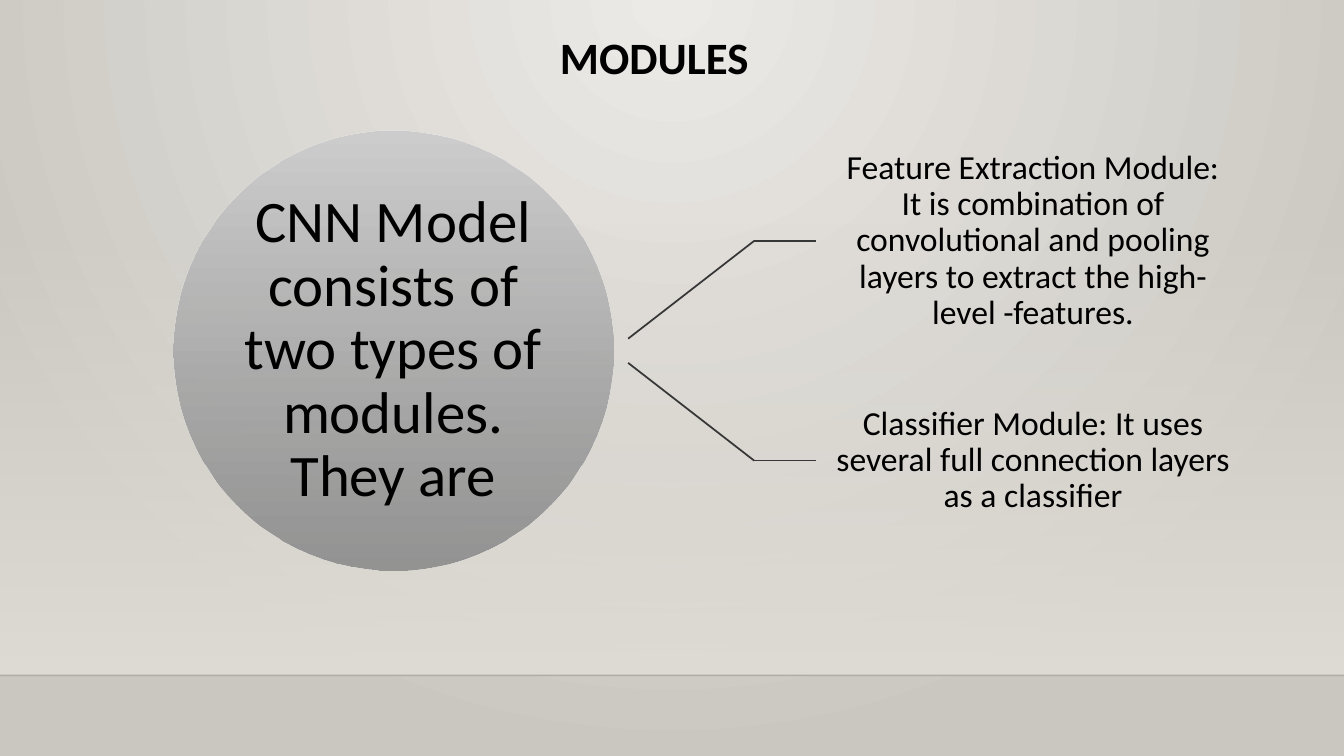
from lxml.etree import SubElement
from pptx import Presentation
from pptx.dml.color import RGBColor
from pptx.enum.shapes import MSO_CONNECTOR as CONNECTOR, MSO_SHAPE as SHAPE
from pptx.enum.text import MSO_ANCHOR as ANCHOR, PP_ALIGN as ALIGN
from pptx.oxml.ns import qn
from pptx.util import Inches, Pt

WIDTH, HEIGHT = 13.33, 7.5
INTRO = "CNN Model consists of two types of modules. They are"
MODULES = [
    "Feature Extraction Module: It is combination of convolutional and pooling "
    "layers to extract the high-level -features.",
    "Classifier Module: It uses several full connection layers as a classifier",
]


def color(value):
    """Turn a hex string into a colour."""
    return RGBColor.from_string(value)


def set_opacity(parent, percent):
    """Set the opacity of the first RGB colour under an element."""
    rgb = next(parent.iter(qn("a:srgbClr")))
    SubElement(rgb, qn("a:alpha"), val=str(percent * 1000))


def fill_gradient(fill, start, end):
    """Fill with a two-stop gradient running from top to bottom."""
    fill.gradient()
    fill.gradient_angle = 270
    for stop, value, position in zip(fill.gradient_stops, (start, end), (0, 1)):
        stop.color.rgb = color(value)
        stop.position = position


def add_line(slide, start, end, value, width):
    """Draw a straight line without a shadow."""
    points = [Inches(n) for n in (*start, *end)]
    line = slide.shapes.add_connector(CONNECTOR.STRAIGHT, *points)
    line.line.color.rgb = color(value)
    line.line.width = Pt(width)
    SubElement(line._element.spPr, qn("a:effectLst"))
    return line


def add_label(slide, box, text, size, inset):
    """Place a centred label in a box."""
    label = slide.shapes.add_textbox(*map(Inches, box))
    frame = label.text_frame
    frame.word_wrap = True
    frame.vertical_anchor = ANCHOR.MIDDLE
    frame.margin_left = frame.margin_right = Inches(inset)
    frame.margin_top = frame.margin_bottom = Inches(inset)
    frame.text = text
    format_paragraph(frame.paragraphs[0], size)
    frame.paragraphs[0].line_spacing = 0.9
    return label


def format_paragraph(paragraph, size, bold=False):
    """Centre a paragraph and set its font."""
    paragraph.alignment = ALIGN.CENTER
    font = paragraph.font
    font.name, font.size, font.bold = "Calibri", Pt(size), bold
    font.color.rgb = color("000000")


def add_backdrop(slide, wall_top, floor_top):
    """Paint the radial background, the wall shading and the floor edge."""
    fill_gradient(slide.background.fill, "ECEAE7", "CAC7C1")
    gradient = next(slide._element.iter(qn("a:gradFill")))
    gradient.remove(gradient.find(qn("a:lin")))
    glow = SubElement(gradient, qn("a:path"), path="circle")
    SubElement(glow, qn("a:fillToRect"), l="43000", t="0", r="43000", b="100000")

    wall = slide.shapes.add_shape(
        SHAPE.RECTANGLE, 0, Inches(wall_top), Inches(WIDTH), Inches(floor_top - wall_top))
    wall.shadow.inherit = False
    wall.line.fill.background()
    fill_gradient(wall.fill, "DFDBD5", "DFDBD5")
    set_opacity(next(wall._element.iter(qn("a:gs"))), 0)

    edge = add_line(slide, (0, floor_top), (WIDTH, floor_top), "000001", 1)
    set_opacity(edge._element.spPr, 20)


def add_title(slide, box, text):
    """Place the slide title in a box."""
    title = slide.shapes.title
    title.left, title.top, title.width, title.height = map(Inches, box)
    frame = title.text_frame
    frame.text = text
    frame.word_wrap = False
    frame.vertical_anchor = ANCHOR.TOP
    format_paragraph(frame.paragraphs[0], 32, bold=True)


def add_hub(slide, left, top, diameter):
    """Draw the circle with the introduction inside it."""
    hub = slide.shapes.add_shape(
        SHAPE.OVAL, *map(Inches, (left, top, diameter, diameter)))
    hub.shadow.inherit = False
    hub.line.fill.background()
    fill_gradient(hub.fill, "CDCDCD", "8E8E8E")
    set_opacity(list(hub._element.iter(qn("a:gs")))[-1], 92)
    inset = 0.64
    side = diameter - 2 * inset
    add_label(slide, (left + inset, top + inset, side, side), INTRO, 42, 0)


def add_branches(slide, left, top, width, height):
    """Stack the modules in a box, each with a bent line from its left edge."""
    elbow, label_left = left + 1.25, left + 1.86
    row = height / len(MODULES)
    center = top + height / 2
    for index, module in enumerate(MODULES):
        row_top = top + index * row
        middle = row_top + row / 2
        start = center + (0.12 if middle > center else -0.12)
        label = add_label(
            slide, (label_left, row_top, left + width - label_left, row), module, 24, 0.19)
        add_line(slide, (left, start), (elbow, middle), "373737", 1.25)
        arm = add_line(slide, (elbow, middle), (label_left, middle), "373737", 1.25)
        arm.end_connect(label, 1)


def main():
    """Build and save the slide."""
    deck = Presentation()
    deck.slide_width, deck.slide_height = Inches(WIDTH), Inches(HEIGHT)
    slide = deck.slides.add_slide(deck.slide_layouts[5])
    add_backdrop(slide, 2.21, 6.7)
    add_title(slide, (5.21, 0.24, 2.56, 0.64), "MODULES")
    add_hub(slide, 1.72, 1.3, 4.36)
    add_branches(slide, 6.23, 1.3, 6.17, 4.36)
    deck.save("out.pptx")


if __name__ == "__main__":
    main()
